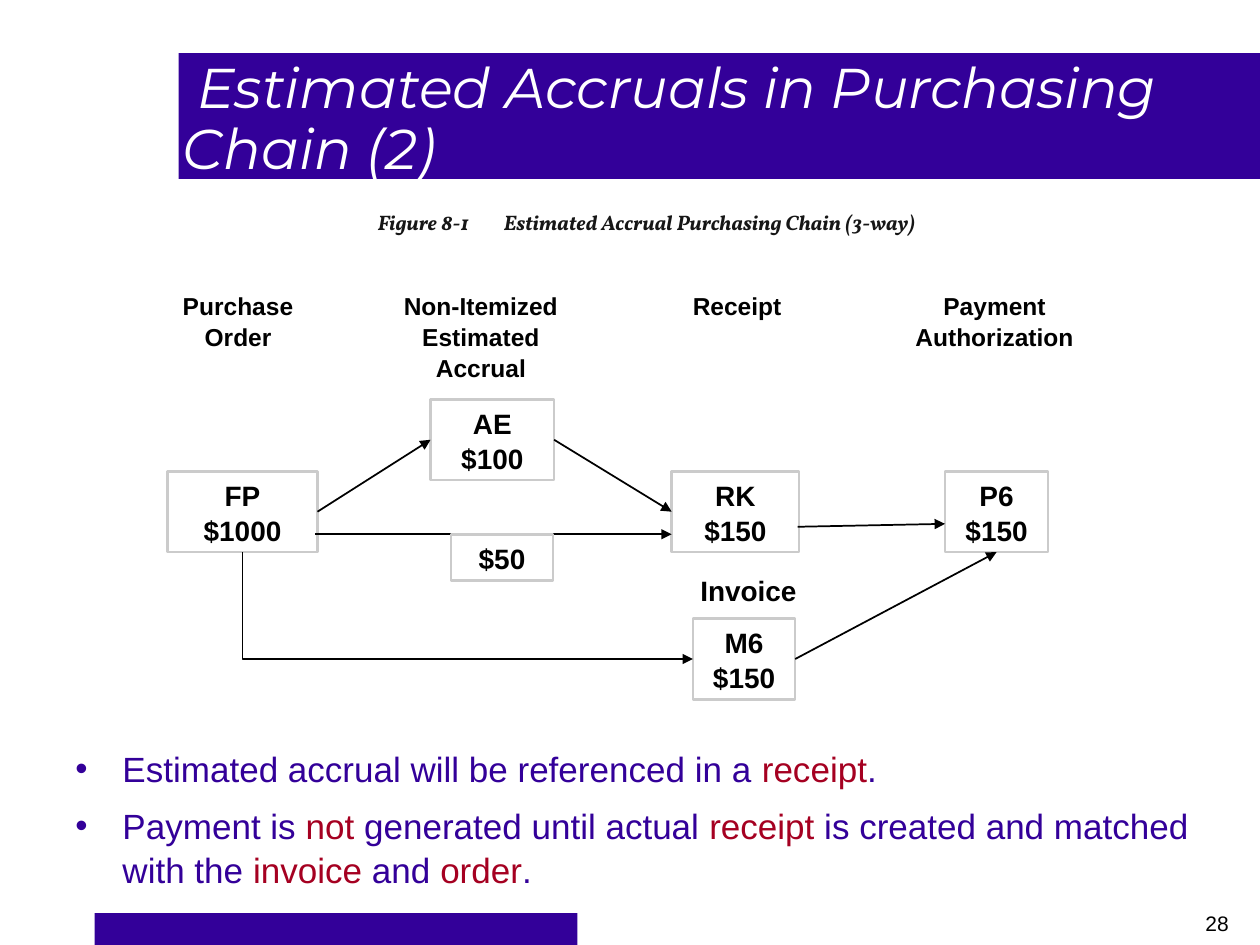
import pptx
import pptx.dml.color
import pptx.enum.shapes
import pptx.enum.text
import pptx.oxml.ns
import pptx.util
from lxml import etree

Cm = pptx.util.Cm
Pt = pptx.util.Pt
RGBColor = pptx.dml.color.RGBColor
ALIGN = pptx.enum.text.PP_ALIGN
CONNECTOR = pptx.enum.shapes.MSO_CONNECTOR
qn = pptx.oxml.ns.qn

INDIGO = RGBColor(0x33, 0x00, 0x99)
CRIMSON = RGBColor(0xA5, 0x00, 0x21)
BLACK = RGBColor(0x00, 0x00, 0x00)
WHITE = RGBColor(0xFF, 0xFF, 0xFF)
CHARCOAL = RGBColor(0x16, 0x16, 0x16)
SILVER = RGBColor(0xCB, 0xCB, 0xCB)
TOP, LEFT, BOTTOM, RIGHT = range(4)


class AccrualSlide:
    """Holds the slide and its style, and draws each kind of element."""

    font = "Arial"
    leading = 1.05

    def __init__(self, deck):
        self.shapes = deck.slides.add_slide(deck.slide_layouts[6]).shapes

    def add_words(self, paragraph, text, size, color=BLACK, bold=False, italic=False, font=None):
        run = paragraph.add_run()
        run.text = text
        run.font.name = font or self.font
        run.font.size = Pt(size)
        run.font.bold = bold
        run.font.italic = italic
        run.font.color.rgb = color

    def fill_lines(self, frame, lines, size, align=ALIGN.CENTER, leading=leading, **style):
        frame.word_wrap = True
        for index, line in enumerate(lines):
            paragraph = frame.add_paragraph() if index else frame.paragraphs[0]
            paragraph.alignment = align
            paragraph.line_spacing = leading
            self.add_words(paragraph, line, size, **style)

    def rectangle(self, left, top, width, height):
        shape = self.shapes.add_shape(
            pptx.enum.shapes.MSO_SHAPE.RECTANGLE, Cm(left), Cm(top), Cm(width), Cm(height))
        shape.shadow.inherit = False
        return shape

    def band(self, *place):
        band = self.rectangle(*place)
        band.fill.solid()
        band.fill.fore_color.rgb = INDIGO
        band.line.fill.background()

    def node(self, lines, *place):
        node = self.rectangle(*place)
        node.fill.background()
        node.line.color.rgb = SILVER
        node.line.width = Pt(1.5)
        self.fill_lines(node.text_frame, lines, 16, bold=True)
        return node

    def label(self, lines, size, left, top, width, height, **style):
        frame = self.shapes.add_textbox(Cm(left), Cm(top), Cm(width), Cm(height)).text_frame
        self.fill_lines(frame, lines, size, **style)
        return frame

    def arrow(self, start=(0, 0), end=(0, 0), kind=CONNECTOR.STRAIGHT):
        points = [Cm(value) for value in (*start, *end)]
        arrow = self.shapes.add_connector(kind, *points)
        arrow.line.color.rgb = BLACK
        arrow.line.width = Pt(1)
        etree.SubElement(arrow.line._get_or_add_ln(), qn("a:tailEnd"), type="triangle")
        etree.SubElement(arrow._element.spPr, qn("a:effectLst"))
        return arrow

    def link(self, source, source_side, target, target_side, kind=CONNECTOR.STRAIGHT):
        arrow = self.arrow(kind=kind)
        arrow.begin_connect(source, source_side)
        arrow.end_connect(target, target_side)
        return arrow

    def down_and_across(self, source, target):
        arrow = self.link(source, BOTTOM, target, LEFT, CONNECTOR.ELBOW)
        across, down = arrow.width, arrow.height
        arrow.left += (across - down) // 2
        arrow.top += (down - across) // 2
        arrow.width, arrow.height = down, across
        properties = arrow._element.spPr
        properties.find(qn("a:prstGeom")).set("prst", "bentConnector2")
        transform = properties.find(qn("a:xfrm"))
        transform.set("rot", "16200000")
        transform.set("flipH", "1")

    def bullets(self, items, left, top, width, height):
        frame = self.shapes.add_textbox(Cm(left), Cm(top), Cm(width), Cm(height)).text_frame
        frame.word_wrap = True
        for index, parts in enumerate(items):
            paragraph = frame.add_paragraph() if index else frame.paragraphs[0]
            properties = paragraph._p.get_or_add_pPr()
            properties.set("marL", str(Cm(0.95)))
            properties.set("indent", str(-Cm(0.95)))
            color = etree.SubElement(properties, qn("a:buClr"))
            etree.SubElement(color, qn("a:srgbClr"), val=str(INDIGO))
            etree.SubElement(properties, qn("a:buFont"), typeface=self.font)
            etree.SubElement(properties, qn("a:buChar"), char="•")
            paragraph.line_spacing = self.leading
            if index:
                paragraph.space_before = Pt(7.4)
            for position, part in enumerate(parts):
                self.add_words(paragraph, part, 20, CRIMSON if position % 2 else INDIGO)


def main():
    deck = pptx.Presentation()
    deck.slide_width, deck.slide_height = Cm(25.4), Cm(19.05)
    slide = AccrualSlide(deck)

    slide.band(1.91, 18.41, 9.73, 0.64)
    slide.band(3.6, 1.07, 21.8, 2.54)
    slide.label(["28"], 12, 23.9, 18.2, 1.27, 0.76)
    title = slide.label([" Estimated Accruals in Purchasing Chain (2)"], 32, 3.56, 1.27, 21.84, 2.34,
                        align=ALIGN.LEFT, leading=0.9, color=WHITE, italic=True, font="Montserrat")
    title.vertical_anchor = pptx.enum.text.MSO_ANCHOR.MIDDLE
    title.margin_left = title.margin_right = Cm(0.13)

    caption = slide.label(["Figure 8-1\tEstimated Accrual Purchasing Chain (3-way)"], 12,
                          2.34, 4.09, 21.39, 0.76, leading=1.0, color=CHARCOAL,
                          bold=True, italic=True, font="Vollkorn")
    tabs = etree.SubElement(caption.paragraphs[0]._p.get_or_add_pPr(), qn("a:tabLst"))
    etree.SubElement(tabs, qn("a:tab"), pos=str(Cm(2.54)), algn="l")

    for heading, left, width, height in (
            (["Purchase", "Order"], 3.25, 3.1, 1.45),
            (["Non-Itemized Estimated Accrual"], 7.32, 4.75, 2.03),
            (["Receipt"], 13.31, 3.1, 0.86),
            (["Payment Authorization"], 17.88, 4.34, 1.45)):
        slide.label(heading, 14, left, 5.72, width, height, bold=True)
    slide.label(["Invoice"], 16, 13.54, 11.4, 3.1, 0.94, bold=True)

    order = slide.node(["FP", "$1000"], 3.38, 9.5, 3.02, 1.63)
    accrual = slide.node(["AE", "$100"], 8.68, 8.05, 2.49, 1.63)
    receipt = slide.node(["RK", "$150"], 13.54, 9.5, 2.57, 1.63)
    payment = slide.node(["P6", "$150"], 19.05, 9.5, 2.08, 1.63)
    invoice = slide.node(["M6", "$150"], 13.97, 12.47, 2.06, 1.63)

    slide.link(order, RIGHT, accrual, LEFT)
    slide.link(accrual, RIGHT, receipt, LEFT)
    slide.link(invoice, RIGHT, payment, BOTTOM)
    slide.down_and_across(order, invoice)
    slide.arrow((16.08, 10.62), (19.05, 10.56))
    slide.arrow((6.35, 10.77), (13.54, 10.77))
    slide.node(["$50"], 9.09, 10.77, 2.06, 0.94)

    slide.bullets((
        ("Estimated accrual will be referenced in a ", "receipt", "."),
        ("Payment is ", "not", " generated until actual ", "receipt",
         " is created and matched with the ", "invoice", " and ", "order", "."),
    ), 1.27, 14.9, 23.7, 3.2)

    deck.save("out.pptx")


if __name__ == "__main__":
    main()
